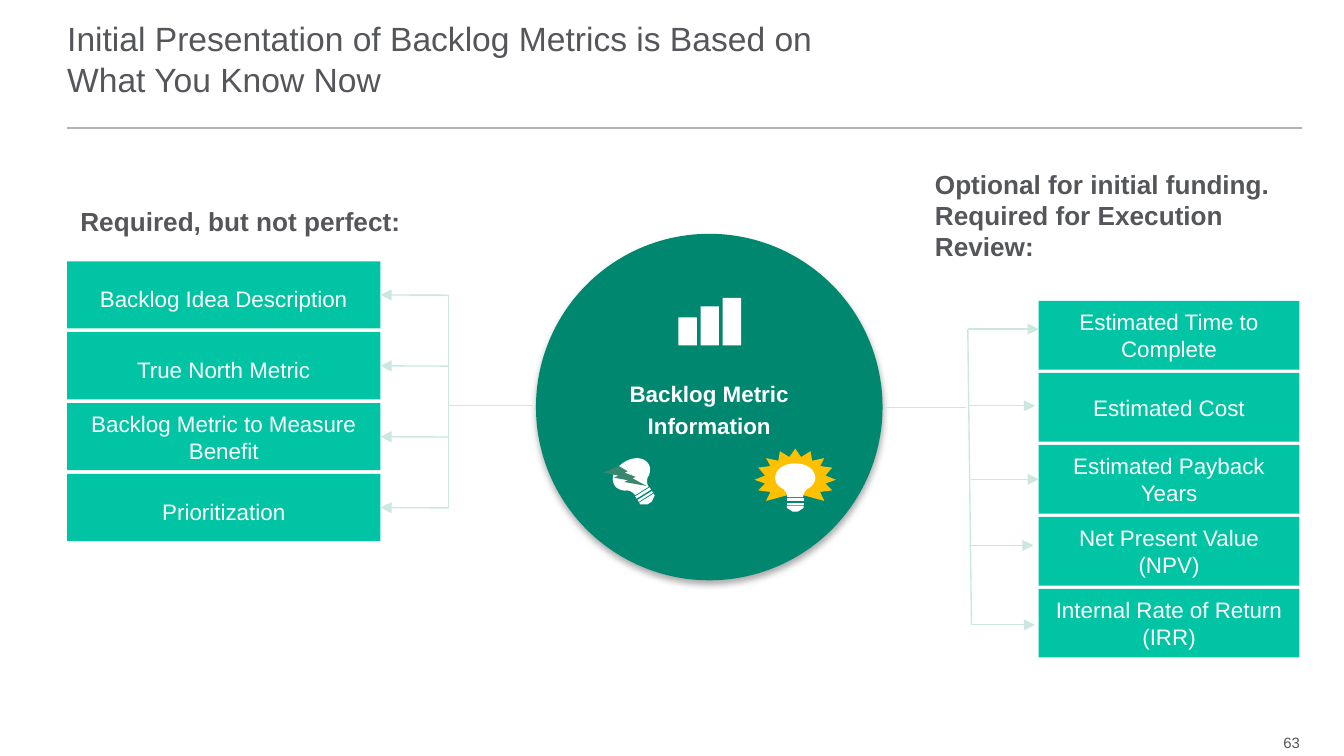
"""Build the backlog metrics slide: required and optional metrics around a central circle."""
from math import cos, radians, sin

from lxml import etree
from pptx import Presentation
from pptx.dml.color import RGBColor
from pptx.enum import shapes, text
from pptx.oxml.ns import qn
from pptx.util import Cm, Pt

THEME = {
    "font": "Arial",
    "grey": RGBColor.from_string("55565A"),
    "rule": RGBColor.from_string("B1B3B3"),
    "link": RGBColor.from_string("CCE7E2"),
    "circle": RGBColor.from_string("008770"),
    "box": RGBColor.from_string("00C4A3"),
    "bolt": RGBColor.from_string("3A8770"),
    "sun": RGBColor.from_string("FFC000"),
    "white": RGBColor.from_string("FFFFFF"),
    "title_size": Pt(18),
    "heading_size": Pt(14),
    "body_size": Pt(12),
    "number_size": Pt(8),
}
LEFT, CENTER, RIGHT = text.PP_ALIGN.LEFT, text.PP_ALIGN.CENTER, text.PP_ALIGN.RIGHT
SHAPE = shapes.MSO_SHAPE


def write(shape, wording, size, color, bold=False, align=LEFT, spacing=1.0, wrap=True):
    """Fill a shape with one formatted paragraph."""
    frame = shape.text_frame
    frame.word_wrap = wrap
    frame.text = wording
    paragraph = frame.paragraphs[0]
    paragraph.alignment = align
    paragraph.line_spacing = spacing
    for run in paragraph.runs:
        run.font.name = THEME["font"]
        run.font.size = THEME[size]
        run.font.bold = bold
        run.font.color.rgb = THEME[color]


def connect(start, end, color="link", width=0.75, arrow=False):
    """Draw a straight line between two points in centimetres."""
    connector = slide.shapes.add_connector(
        shapes.MSO_CONNECTOR.STRAIGHT, *map(Cm, start), *map(Cm, end))
    connector.line.color.rgb = THEME[color]
    connector.line.width = Pt(width)
    properties = connector._element.spPr
    if arrow:
        etree.SubElement(properties.find(qn("a:ln")), qn("a:tailEnd"), type="triangle")
    etree.SubElement(properties, qn("a:effectLst"))
    return connector


presentation = Presentation()
presentation.slide_width, presentation.slide_height = Cm(25.4), Cm(14.29)
slide = presentation.slides.add_slide(presentation.slide_layouts[5])

connect((1.27, 2.42), (24.61, 2.42), "rule", 1)

title = slide.shapes.title
title.left, title.top, title.width, title.height = Cm(1.27), Cm(0.18), Cm(18.62), Cm(1.85)
write(title, "Initial Presentation of Backlog Metrics is Based on\vWhat You Know Now",
      "title_size", "grey")
frame = title.text_frame
frame.auto_size = text.MSO_AUTO_SIZE.NONE
frame.vertical_anchor = text.MSO_ANCHOR.MIDDLE
frame.margin_left = frame.margin_top = frame.margin_right = frame.margin_bottom = 0

circle = slide.shapes.add_shape(SHAPE.OVAL, Cm(10.13), Cm(4.42), Cm(6.55), Cm(6.55))
circle.fill.solid()
circle.fill.fore_color.rgb = THEME["circle"]
circle.line.fill.background()
write(circle, "Backlog Metric Information", "body_size", "white", True, CENTER, 1.2)
effects = etree.SubElement(circle._element.spPr, qn("a:effectLst"))
shadow = etree.SubElement(effects, qn("a:outerShdw"), blurRad=str(Pt(3.5)),
                          dist=str(Pt(2.2)), dir="5400000", algn="t", rotWithShape="0")
shadow_color = etree.SubElement(shadow, qn("a:srgbClr"), val="000000")
etree.SubElement(shadow_color, qn("a:alpha"), val="32000")

required = [("Backlog Idea Description", 1.3), ("True North Metric", 1.3),
            ("Backlog Metric to Measure Benefit", 1), ("Prioritization", 1.3)]
optional = [("Estimated Time to Complete", 1), ("Estimated Cost", 1),
            ("Estimated Payback Years", 1), ("Net Present Value (NPV)", 1),
            ("Internal Rate of Return (IRR)", 1)]
columns = []
for metrics, left, top, width, height, pitch in [
        (required, 1.27, 4.94, 5.92, 1.27, 1.34), (optional, 19.63, 5.69, 4.93, 1.3, 1.36)]:
    boxes = []
    for row, (wording, spacing) in enumerate(metrics):
        box = slide.shapes.add_shape(
            SHAPE.RECTANGLE, Cm(left), Cm(top + row * pitch), Cm(width), Cm(height))
        box.shadow.inherit = False
        box.fill.solid()
        box.fill.fore_color.rgb = THEME["box"]
        box.line.fill.background()
        write(box, wording, "body_size", "white", align=CENTER, spacing=spacing)
        boxes.append(box)
    columns.append(boxes)
required_boxes, optional_boxes = columns

connect((10.06, 7.67), (8.48, 7.67))
connect((8.48, 9.6), (8.48, 5.58))
for row, box in enumerate(required_boxes):
    y = 5.58 + row * 1.34
    connect((8.48, y), (7.19, y), arrow=True).end_connect(box, 3)

connect((16.71, 7.7), (18.26, 7.7))
connect((18.29, 6.22), (18.36, 11.81))
for start, end, y in [(18.29, 19.63, 6.22), (18.29, 19.56, 7.67), (18.31, 19.53, 10.31),
                      (18.36, 19.56, 11.81)]:
    connect((start, y), (end, y), arrow=True)
connect((18.36, 9.06), (19.63, 9.06), arrow=True).end_connect(optional_boxes[2], 1)

for wording, left, top, width, height, wrap in [
        ("Required, but not perfect:", 1.27, 3.76, 6.58, 0.86, False),
        ("Optional for initial funding. Required for Execution Review:",
         17.42, 3.05, 7.54, 2.39, True)]:
    heading = slide.shapes.add_textbox(Cm(left), Cm(top), Cm(width), Cm(height))
    write(heading, wording, "heading_size", "grey", True, wrap=wrap)

number = slide.shapes.add_textbox(Cm(23.5), Cm(13.79), Cm(1.07), Cm(0.51))
write(number, "63", "number_size", "grey", align=RIGHT, wrap=False)
frame = number.text_frame
frame.vertical_anchor = text.MSO_ANCHOR.MIDDLE
frame.margin_left = frame.margin_top = frame.margin_right = frame.margin_bottom = 0

half_sun = [(0, 8.48), (0.11, 8.64), (0.29, 8.53), (0.32, 8.71), (0.55, 8.66), (0.47, 8.81),
            (0.7, 8.84), (0.57, 8.99), (0.77, 9.07), (0.57, 9.14), (0.7, 9.27), (0.47, 9.3),
            (0.55, 9.47), (0, 9.32)]
rays = [(15.03 + x, y) for x, y in half_sun] + [(15.03 - x, y) for x, y in half_sun[-2:0:-1]]
outlines = [(slide.shapes.add_group_shape(), "sun", rays)]

glass = [(0, 0)]
for a, b, c, d in [((0, 0), (0.2, 0), (0.38, 0.1), (0.38, 0.28)),
                   ((0.38, 0.28), (0.38, 0.36), (0.3, 0.46), (0.23, 0.48)),
                   ((0.23, 0.48), (0.2, 0.51), (0.15, 0.56), (0.15, 0.64))]:
    for step in range(1, 9):
        t = step / 8
        weights = ((1 - t) ** 3, 3 * t * (1 - t) ** 2, 3 * t * t * (1 - t), t ** 3)
        glass.append(tuple(sum(w * p[axis] for w, p in zip(weights, (a, b, c, d)))
                           for axis in (0, 1)))
half_bulb = [
    glass + [(0, 0.64)],
    [(0, 0.66), (0.16, 0.66), (0.16, 0.71), (0, 0.71)],
    [(0, 0.74), (0.16, 0.74), (0.16, 0.78), (0, 0.78)],
    [(0, 0.8), (0.16, 0.8), (0.16, 0.84), (0.05, 0.91), (0, 0.91)],
]
sun_group = outlines[0][0]
tilted_group = slide.shapes.add_group_shape()
for group, left, top, angle in [(sun_group, 15.03, 8.76, 0), (tilted_group, 11.79, 8.74, -32.2)]:
    cosine, sine = cos(radians(angle)), sin(radians(angle))
    for side in (-1, 1):
        for part in half_bulb:
            outlines.append((group, "white", [
                (left + side * x * cosine - y * sine, top + side * x * sine + y * cosine)
                for x, y in part]))

for group, color, points in outlines:
    points = [(Cm(x), Cm(y)) for x, y in points]
    builder = group.shapes.build_freeform(*points[0])
    builder.add_line_segments(points[1:])
    outline = builder.convert_to_shape()
    outline.shadow.inherit = False
    outline.fill.solid()
    outline.fill.fore_color.rgb = THEME[color]
    outline.line.fill.background()

bar_group = slide.shapes.add_group_shape()
for group, kind, color, left, top, width, height, rotation in [
        (tilted_group, SHAPE.LIGHTNING_BOLT, "bolt", 11.43, 8.79, 0.76, 0.46, 350.8),
        (bar_group, SHAPE.RECTANGLE, "white", 12.82, 6, 0.35, 0.53, 0),
        (bar_group, SHAPE.RECTANGLE, "white", 13.24, 5.79, 0.35, 0.74, 0),
        (bar_group, SHAPE.RECTANGLE, "white", 13.66, 5.63, 0.35, 0.9, 0)]:
    icon = group.shapes.add_shape(kind, Cm(left), Cm(top), Cm(width), Cm(height))
    icon.rotation = rotation
    icon.shadow.inherit = False
    icon.fill.solid()
    icon.fill.fore_color.rgb = THEME[color]
    icon.line.fill.background()

presentation.save("out.pptx")
